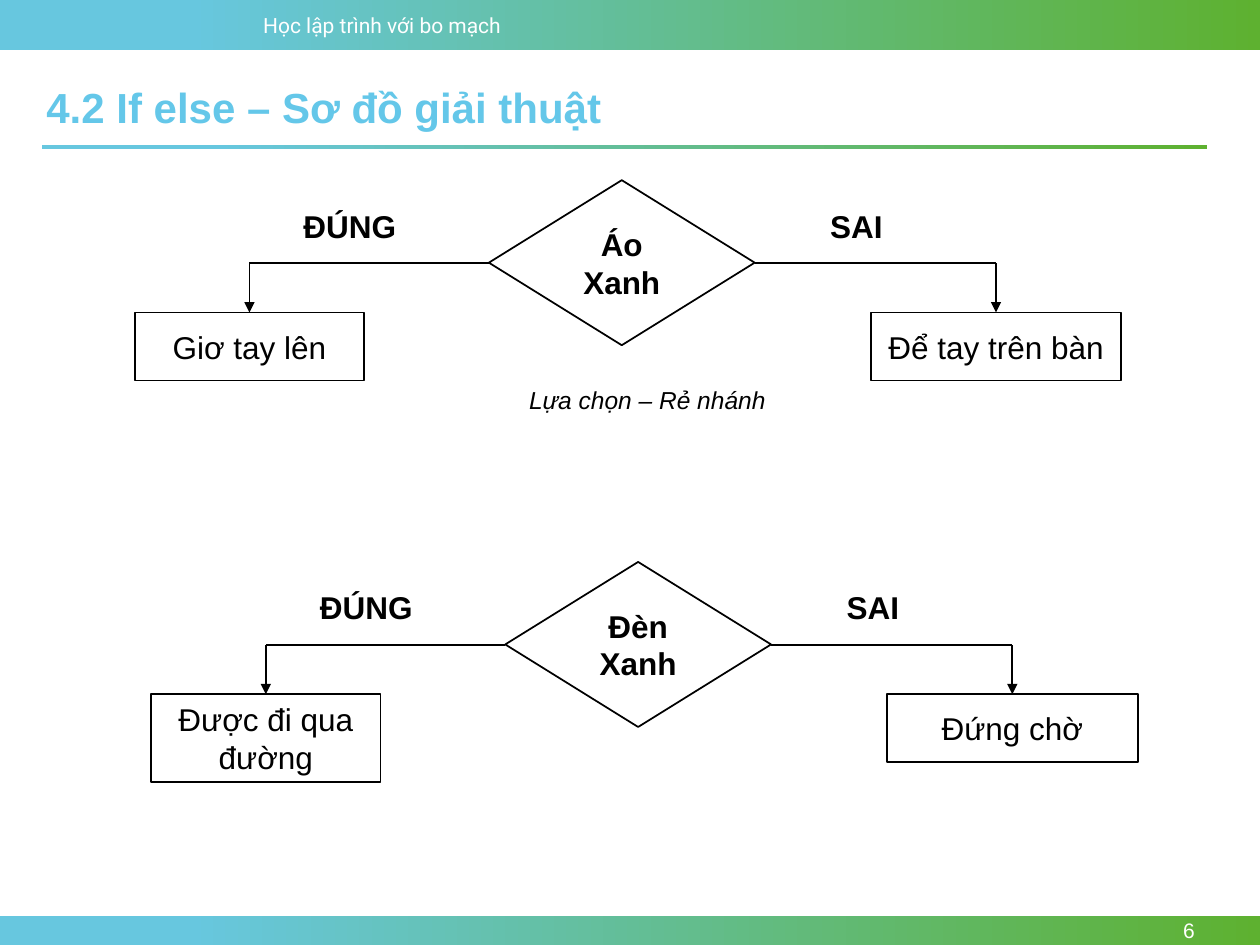
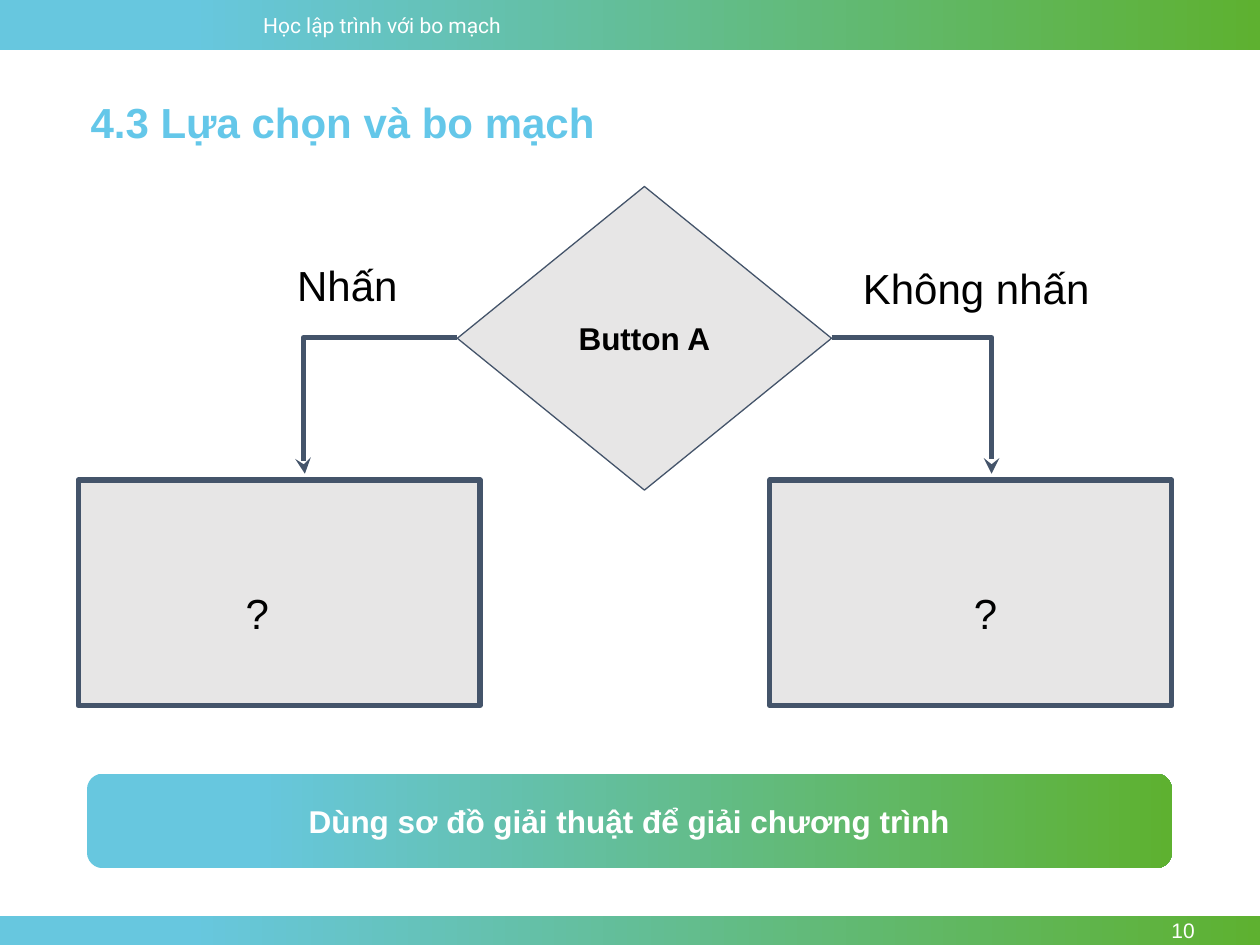
"""Build two slides on if/else flowcharts with a shared gradient frame."""
from lxml.etree import SubElement
from pptx import Presentation
from pptx.dml.color import RGBColor
from pptx.enum.shapes import MSO_CONNECTOR, MSO_SHAPE
from pptx.enum.text import MSO_ANCHOR, PP_ALIGN
from pptx.oxml.ns import qn
from pptx.util import Inches, Pt

SKY_TO_GREEN = ("67C7DF", "5EB130")
TITLE_BLUE = "64C7E9"
SLATE = "44546A"
PALE_GREY = "E7E6E6"
BLACK = "000000"
WHITE = "FFFFFF"


def paint(target, fill=None, line=None, width=1, arrow=None):
    """Colour a font, shape or connector; a pair of fills makes a gradient."""
    if isinstance(fill, tuple):
        target.fill.gradient()
        target.fill.gradient_angle = 0
        for stop, position, colour in zip(target.fill.gradient_stops, (0.15, 1), fill):
            stop.position = position
            stop.color.rgb = RGBColor.from_string(colour)
    elif fill:
        target.fill.solid()
        target.fill.fore_color.rgb = RGBColor.from_string(fill)
    elif hasattr(target, "fill"):
        target.fill.background()
    if line:
        target.line.color.rgb = RGBColor.from_string(line)
        target.line.width = Pt(width)
        if arrow:
            SubElement(target.line._get_or_add_ln(), qn("a:tailEnd"), type=arrow)
    elif hasattr(target, "line"):
        target.line.fill.background()
    if hasattr(target, "shadow"):
        target.shadow.inherit = False
    elif hasattr(target, "begin_x"):
        SubElement(target._element.spPr, qn("a:effectLst"))
    return target


def write_text(shape, text, size=18, colour=BLACK, font="Arial", bold=False, italic=False,
               align=PP_ALIGN.LEFT, anchor=MSO_ANCHOR.TOP, inset=0.05):
    """Write one formatted paragraph into a shape."""
    frame = shape.text_frame
    frame.word_wrap = True
    frame.vertical_anchor = anchor
    frame.margin_left = frame.margin_right = Inches(0.1)
    frame.margin_top = frame.margin_bottom = Inches(inset)
    paragraph = frame.paragraphs[0]
    paragraph.alignment = align
    run = paragraph.add_run()
    run.text = text
    run.font.name = font
    run.font.size = Pt(size)
    run.font.bold = bold
    run.font.italic = italic
    paint(run.font, colour)


prs = Presentation()
prs.slide_width, prs.slide_height = Inches(10), Inches(7.5)
centred = {"align": PP_ALIGN.CENTER, "anchor": MSO_ANCHOR.MIDDLE}

pages = []
for number, title, left, top, width in (
    ("6", "4.2 If else – Sơ đồ giải thuật", 0.27, 0.6, 6.05),
    ("10", "4.3 Lựa chọn và bo mạch", 0.62, 0.72, 5.15),
):
    shapes = prs.slides.add_slide(prs.slide_layouts[6]).shapes
    for band_top, band_height in ((0, 0.4), (7.27, 0.23)):
        band = shapes.add_shape(MSO_SHAPE.RECTANGLE, 0, Inches(band_top),
                                prs.slide_width, Inches(band_height))
        paint(band, SKY_TO_GREEN)
    course = shapes.add_textbox(*map(Inches, (1.99, 0.05, 2.25, 0.3)))
    write_text(course, "Học lập trình với bo mạch", size=12, colour=WHITE, font="Roboto")
    page_number = shapes.add_textbox(*map(Inches, (8.66, 7.27, 0.92, 0.23)))
    write_text(page_number, number, size=12, colour=WHITE,
               align=PP_ALIGN.RIGHT, anchor=MSO_ANCHOR.MIDDLE)
    heading = shapes.add_textbox(*map(Inches, (left, top, width, 0.5)))
    write_text(heading, title, size=24, colour=TITLE_BLUE, bold=True)
    pages.append(shapes)

if_else, button_choice = pages

title_rule = if_else.add_shape(MSO_SHAPE.RECTANGLE, *map(Inches, (0.33, 1.15, 9.25, 0.03)))
paint(title_rule, SKY_TO_GREEN)

for left, top, question, yes_action, yes_height, no_action in (
    (3.88, 1.43, "Áo Xanh", "Giơ tay lên", 0.54, "Để tay trên bàn"),
    (4.01, 4.46, "Đèn Xanh", "Được đi qua đường", 0.7, "Đứng chờ"),
):
    decision = if_else.add_shape(MSO_SHAPE.FLOWCHART_DECISION,
                                 *map(Inches, (left, top, 2.11, 1.31)))
    paint(decision, line=BLACK)
    write_text(decision, question, bold=True, **centred)
    arm_y, action_top = top + 0.66, top + 1.05
    for answer, answer_dx, answer_width, action, action_dx, action_width, height, corner_dx in (
        ("ĐÚNG", -1.57, 1.05, yes_action, -2.81, 1.82, yes_height, 0),
        ("SAI", 2.61, 0.75, no_action, 3.03, 1.99, 0.54, 2.11),
    ):
        action_box = if_else.add_shape(
            MSO_SHAPE.RECTANGLE,
            *map(Inches, (left + action_dx, action_top, action_width, height)))
        paint(action_box, line=BLACK)
        write_text(action_box, action, **centred)
        answer_label = if_else.add_textbox(
            *map(Inches, (left + answer_dx, top + 0.16, answer_width, 0.4)))
        write_text(answer_label, answer, bold=True)
        drop_x = left + action_dx + action_width / 2
        for start_x, end_y, arrow in ((left + corner_dx, arm_y, None),
                                      (drop_x, action_top, "triangle")):
            branch = if_else.add_connector(MSO_CONNECTOR.STRAIGHT,
                                           *map(Inches, (start_x, arm_y, drop_x, end_y)))
            paint(branch, line=BLACK, arrow=arrow)

caption = if_else.add_textbox(*map(Inches, (4.1, 3.01, 2.35, 0.34)))
write_text(caption, "Lựa chọn – Rẻ nhánh", size=14, italic=True)

button = button_choice.add_shape(MSO_SHAPE.DIAMOND, *map(Inches, (3.63, 1.48, 2.97, 2.41)))
paint(button, PALE_GREY, SLATE, width=0.75)
write_text(button, "Button A", bold=True, inset=0.1, **centred)

for answer, label_left, label_top, label_width, box_left, mark_left, corner_x, drop_x, bend in (
    ("Nhấn", 2.26, 1.96, 1.1, 0.62, 1.85, 3.63, 2.42, 101100),
    ("Không nhấn", 6.75, 1.98, 2.25, 6.11, 7.63, 6.6, 7.87, 100000),
):
    outcome = button_choice.add_shape(MSO_SHAPE.RECTANGLE,
                                      *map(Inches, (box_left, 3.81, 3.19, 1.79)))
    paint(outcome, PALE_GREY, SLATE, width=3)
    branch = button_choice.add_connector(MSO_CONNECTOR.ELBOW,
                                         *map(Inches, (corner_x, 2.68, drop_x, 3.76)))
    paint(branch, line=SLATE, width=3, arrow="stealth")
    adjustments = next(branch._element.iter(qn("a:avLst")))
    SubElement(adjustments, qn("a:gd"), name="adj1", fmla=f"val {bend}")
    for text, left, top, width in ((answer, label_left, label_top, label_width),
                                   ("?", mark_left, 4.56, 0.75)):
        label = button_choice.add_textbox(*map(Inches, (left, top, width, 0.66)))
        write_text(label, text, size=24, inset=0.1)

task = button_choice.add_shape(MSO_SHAPE.ROUNDED_RECTANGLE,
                               *map(Inches, (0.69, 6.14, 8.61, 0.75)))
paint(task, SKY_TO_GREEN)
write_text(task, "Dùng sơ đồ giải thuật để giải chương trình", colour=WHITE, bold=True, **centred)

prs.save("out.pptx")
